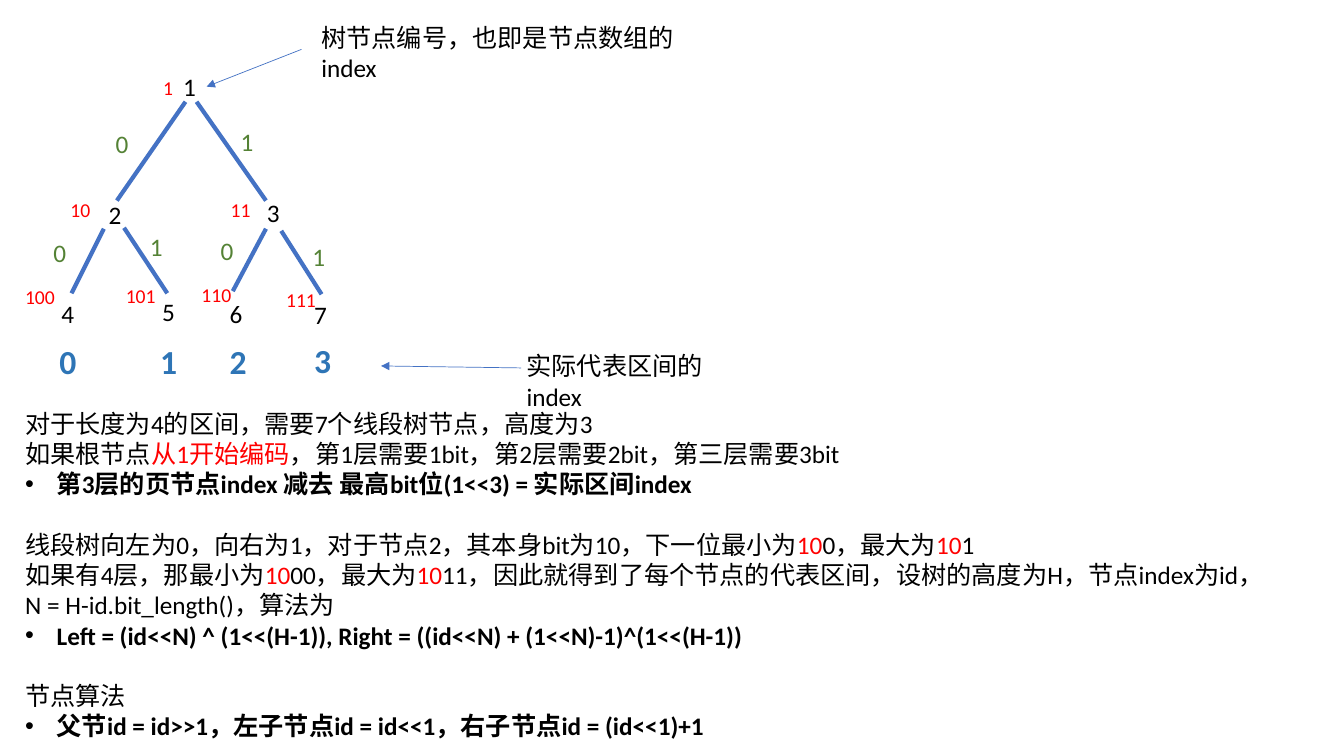
from pptx import Presentation
from pptx.dml.color import RGBColor
from pptx.enum.shapes import MSO_CONNECTOR
from pptx.enum.text import MSO_ANCHOR, MSO_AUTO_SIZE, PP_ALIGN
from pptx.oxml.ns import qn
from pptx.util import Pt
from lxml.etree import SubElement

BLACK, RED, GREEN = "000000", "FF0000", "548235"
BLUE, LEAF = "4472C4", "2E75B6"

# number: (node place, code place, bit place, edge ends)
TREE = {
    1: ((123.8, 47.5), (109.4, 50.4), None, None),
    2: ((70.6, 139), (43.2, 137.5), (75.6, 87.8), (132.5, 72.7, 83.5, 143.3)),
    3: ((183.6, 137.5), (157.7, 137.5), (164.9, 86.4), (140.4, 72.7, 190, 143.3)),
    4: ((36.7, 209.5), (10.8, 200.2), (31, 166.3), (74.2, 163.4, 51.1, 209.5)),
    5: ((108.7, 208), (82.8, 199.4), (100, 162), (88.6, 162.7, 119.5, 209.5)),
    6: ((157, 209.5), (136.8, 198.7), (150.5, 164.9), (190, 163.4, 166.3, 208)),
    7: ((217.4, 210.2), (197.3, 202.3), (216, 168.5), (200.9, 164.9, 229.7, 210.2)),
}
LEAVES = [(35.3, 239.8), (107.3, 239.8), (157, 239.8), (217.4, 239)]

# (text with red parts between bars, is bullet, space before)
NOTES = [
    ("对于长度为4的区间，需要7个线段树节点，高度为3", False, 0),
    ("如果根节点|从1开始编码|，第1层需要1bit，第2层需要2bit，第三层需要3bit", False, 0),
    ("第3层的页节点index 减去 最高bit位(1<<3) = 实际区间index", True, 0),
    ("线段树向左为0，向右为1，对于节点2，其本身bit为10，下一位最小为|10|0，最大为|10|1",
     False, 21.6),
    ("如果有4层，那最小为|10|00，最大为|10|11，因此就得到了每个节点的代表区间，"
     "设树的高度为H，节点index为id，N = H-id.bit_length()，算法为", False, 0),
    ("Left = (id<<N) ^ (1<<(H-1)), Right = ((id<<N) + (1<<N)-1)^(1<<(H-1))", True, 0),
    ("节点算法", False, 21.6),
    ("父节id = id>>1，左子节点id = id<<1，右子节点id = (id<<1)+1", True, 0),
]


def paint(color, tint):
    color.rgb = RGBColor.from_string(tint)


def apply(item, values):
    for name, value in values.items():
        setattr(item, name, value)


def add_run(par, text, tint, size=18, bold=False):
    run = par.add_run()
    run.text = text
    apply(run.font, {"name": "Calibri", "size": Pt(size), "bold": bold})
    paint(run.font.color, tint)


def add_label(slide, text, place, width, tint=BLACK, size=18, bold=False, wrap=False):
    box = slide.shapes.add_textbox(*map(Pt, (*place, width, size * 1.2 + 7.2)))
    box.text_frame.word_wrap = wrap
    add_run(box.text_frame.paragraphs[0], text, tint, size, bold)


def add_line(slide, ends, weight, arrow=False):
    line = slide.shapes.add_connector(MSO_CONNECTOR.STRAIGHT, *map(Pt, ends))
    line.line.width = Pt(weight)
    paint(line.line.color, BLUE)
    if arrow:
        SubElement(line.line._get_or_add_ln(), qn("a:tailEnd"), type="triangle")
    SubElement(line._element.spPr, qn("a:effectLst"))


def set_mark(par, listed):
    props = par._p.get_or_add_pPr()
    indent = Pt(22.5) if listed else 0
    props.set("marL", str(indent))
    props.set("indent", str(-indent))
    if listed:
        SubElement(props, qn("a:buFont"), typeface="Arial")
        SubElement(props, qn("a:buChar"), char="•")
    else:
        SubElement(props, qn("a:buNone"))


def fill_notes(body):
    apply(body, {"left": Pt(10.8), "top": Pt(288), "width": Pt(910), "height": Pt(250)})
    frame = body.text_frame
    apply(frame, {"word_wrap": True, "auto_size": MSO_AUTO_SIZE.NONE,
                  "vertical_anchor": MSO_ANCHOR.TOP})
    for index, (text, listed, gap) in enumerate(NOTES):
        par = frame.add_paragraph() if index else frame.paragraphs[0]
        apply(par, {"alignment": PP_ALIGN.LEFT, "line_spacing": 1.0,
                    "space_before": Pt(gap), "space_after": Pt(0)})
        set_mark(par, listed)
        for part, piece in enumerate(text.split("|")):
            add_run(par, piece, RED if part % 2 else BLACK, bold=listed)


def draw_tree(slide):
    for number, (node, code, bit, edge) in TREE.items():
        if edge:
            add_line(slide, edge, 3)
            add_label(slide, str(number % 2), bit, 23.8, GREEN)
        add_label(slide, str(number), node, 23.8)
        digits = f"{number:b}"
        add_label(slide, digits, code, 14.4 + 7.2 * len(digits), RED, 14)
    for index, place in enumerate(LEAVES):
        add_label(slide, str(index), place, 26.6, LEAF, 24, True)


def main():
    deck = Presentation()
    apply(deck, {"slide_width": Pt(960), "slide_height": Pt(540)})
    slide = deck.slides.add_slide(deck.slide_layouts[1])
    title = slide.shapes.title.element
    title.getparent().remove(title)
    fill_notes(slide.placeholders[1])
    draw_tree(slide)
    add_label(slide, "树节点编号，也即是节点数组的index", (222.5, 12.2), 288, wrap=True)
    add_line(slide, (215.3, 35.3, 147.6, 61.9), 0.5, True)
    add_label(slide, "实际代表区间的index", (369, 247), 151, wrap=True)
    add_line(slide, (372.2, 262.8, 272.2, 261.4), 0.5, True)
    deck.save("out.pptx")


if __name__ == "__main__":
    main()
